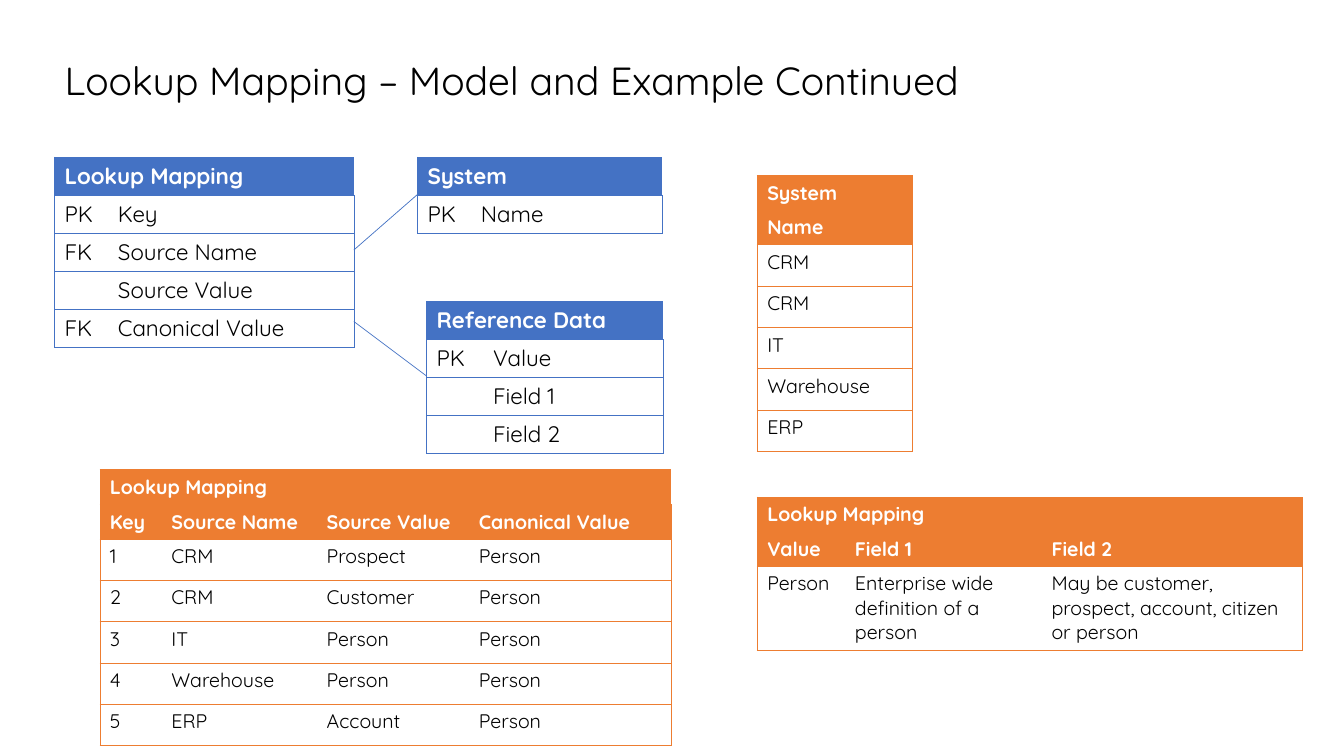
from dataclasses import dataclass

from pptx import Presentation
from pptx.dml.color import RGBColor
from pptx.enum.shapes import MSO_CONNECTOR
from pptx.enum.text import MSO_ANCHOR, MSO_AUTO_SIZE, PP_ALIGN
from pptx.oxml.xmlchemy import OxmlElement
from pptx.slide import Slide
from pptx.table import _Cell
from pptx.text.text import TextFrame
from pptx.util import Inches, Pt

FONT = "Quicksand"
BLACK = RGBColor(0x00, 0x00, 0x00)
WHITE = RGBColor(0xFF, 0xFF, 0xFF)
BLUE = RGBColor(0x44, 0x72, 0xC4)
ORANGE = RGBColor(0xED, 0x7D, 0x31)
LINE_WIDTH = Pt(0.5)


@dataclass(frozen=True)
class TableStyle:
    color: RGBColor
    size: int
    header_rows: int
    header_height: float
    body_height: float


@dataclass(frozen=True)
class TableSpec:
    name: str
    left: float
    top: float
    style: TableStyle
    columns: tuple[float, ...]
    rows: tuple[tuple[str, ...], ...]


@dataclass(frozen=True)
class Link:
    start: tuple[float, float]
    end: tuple[float, float]


MODEL = TableStyle(BLUE, 16, 1, 0.37, 0.37)
EXAMPLE = TableStyle(ORANGE, 14, 2, 0.34, 0.41)

TABLES = (
    TableSpec("Lookup Mapping", 0.54, 1.56, MODEL, (0.53, 2.44), (
        ("PK", "Key"),
        ("FK", "Source Name"),
        ("", "Source Value"),
        ("FK", "Canonical Value"),
    )),
    TableSpec("Lookup Mapping", 0.99, 4.66, EXAMPLE, (0.61, 1.54, 1.51, 2.01), (
        ("Key", "Source Name", "Source Value", "Canonical Value"),
        ("1", "CRM", "Prospect", "Person"),
        ("2", "CRM", "Customer", "Person"),
        ("3", "IT", "Person", "Person"),
        ("4", "Warehouse", "Person", "Person"),
        ("5", "ERP", "Account", "Person"),
    )),
    TableSpec("Lookup Mapping", 7.51, 4.93, EXAMPLE, (0.87, 1.95, 2.59), (
        ("Value", "Field 1", "Field 2"),
        ("Person", "Enterprise wide definition of a person",
         "May be customer, prospect, account, citizen or person"),
    )),
    TableSpec("System", 4.14, 1.56, MODEL, (0.53, 1.9), (
        ("PK", "Name"),
    )),
    TableSpec("Reference Data", 4.23, 2.99, MODEL, (0.56, 1.79), (
        ("PK", "Value"),
        ("", "Field 1"),
        ("", "Field 2"),
    )),
    TableSpec("System", 7.51, 1.74, EXAMPLE, (1.54,), (
        ("Name",), ("CRM",), ("CRM",), ("IT",), ("Warehouse",), ("ERP",),
    )),
)

LINKS = (
    Link((3.51, 2.48), (4.14, 1.93)),
    Link((3.51, 3.19), (4.23, 3.73)),
)


def write_text(tf: TextFrame, text: str, *, size: int,
               color: RGBColor = BLACK, bold: bool = False,
               line_spacing: float = 1.0) -> None:
    p = tf.paragraphs[0]
    p.alignment = PP_ALIGN.LEFT
    p.line_spacing = line_spacing
    if not text:
        end = OxmlElement("a:endParaRPr")
        end.set("sz", str(size * 100))
        latin = OxmlElement("a:latin")
        latin.set("typeface", FONT)
        end.append(latin)
        p._p.append(end)
        return
    r = p.add_run()
    r.text = text
    r.font.name = FONT
    r.font.size = Pt(size)
    r.font.bold = bold
    r.font.color.rgb = color


def set_border(cell: _Cell, side: str, color: RGBColor | None) -> None:
    ln = OxmlElement(f"a:ln{side}")
    ln.set("w", str(LINE_WIDTH))
    if color is None:
        ln.append(OxmlElement("a:noFill"))
    else:
        fill = OxmlElement("a:solidFill")
        rgb = OxmlElement("a:srgbClr")
        rgb.set("val", str(color))
        fill.append(rgb)
        ln.append(fill)
    cell._tc.get_or_add_tcPr().append(ln)


def add_model_table(s: Slide, spec: TableSpec) -> None:
    style = spec.style
    last = len(spec.columns) - 1
    rows = ((spec.name,) + ("",) * last,) + spec.rows
    heights = [style.header_height if i < style.header_rows else style.body_height
               for i in range(len(rows))]
    frame = s.shapes.add_table(
        len(rows), len(spec.columns), Inches(spec.left), Inches(spec.top),
        Inches(sum(spec.columns)), Inches(sum(heights)))
    table = frame.table
    table.first_row = False
    table.horz_banding = False
    for column, width in zip(table.columns, spec.columns):
        column.width = Inches(width)
    for i, values in enumerate(rows):
        table.rows[i].height = Inches(heights[i])
        header = i < style.header_rows
        for j, value in enumerate(values):
            cell = table.cell(i, j)
            write_text(cell.text_frame, value, size=style.size, bold=header,
                       color=WHITE if header else BLACK)
            set_border(cell, "L", style.color if j == 0 else None)
            set_border(cell, "R", style.color if j == last else None)
            set_border(cell, "T", style.color)
            set_border(cell, "B", style.color)
            if header:
                cell.fill.solid()
                cell.fill.fore_color.rgb = style.color
            else:
                cell.fill.background()
    if last:
        table.cell(0, 0).merge(table.cell(0, last))


def add_link(s: Slide, link: Link) -> None:
    line = s.shapes.add_connector(
        MSO_CONNECTOR.STRAIGHT, *map(Inches, link.start + link.end))
    line.line.color.rgb = BLUE
    line.line.width = LINE_WIDTH
    line._element.spPr.append(OxmlElement("a:effectLst"))


def add_title(s: Slide, text: str) -> None:
    sp = s.shapes.title
    sp.left, sp.top, sp.width, sp.height = map(Inches, (0.54, 0.54, 10.59, 0.56))
    tf = sp.text_frame
    tf.word_wrap = True
    tf.auto_size = MSO_AUTO_SIZE.NONE
    tf.vertical_anchor = MSO_ANCHOR.MIDDLE
    write_text(tf, text, size=28, line_spacing=0.9)


def main() -> None:
    prs = Presentation()
    prs.slide_width = Inches(13.33)
    prs.slide_height = Inches(7.5)
    s = prs.slides.add_slide(prs.slide_layouts[5])
    add_title(s, "Lookup Mapping – Model and Example Continued")
    for spec in TABLES:
        add_model_table(s, spec)
    for link in LINKS:
        add_link(s, link)
    prs.save("out.pptx")


if __name__ == "__main__":
    main()
